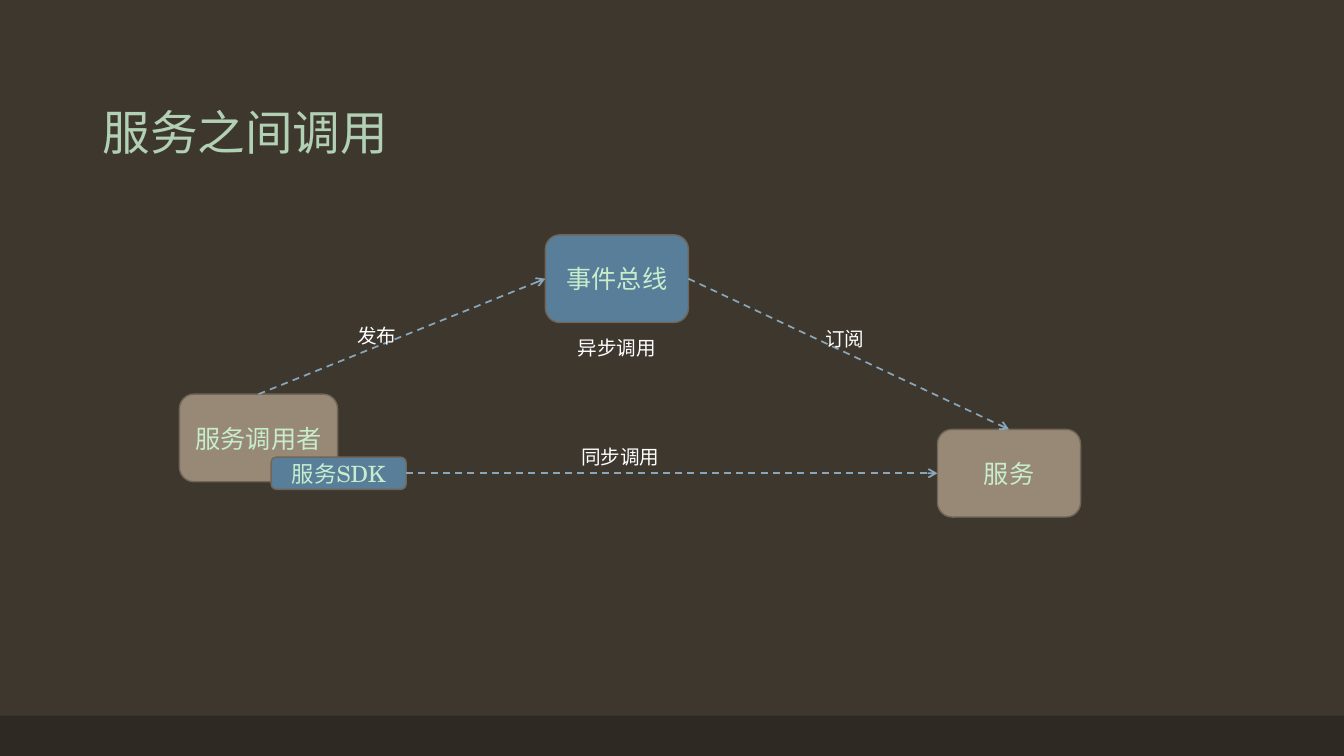
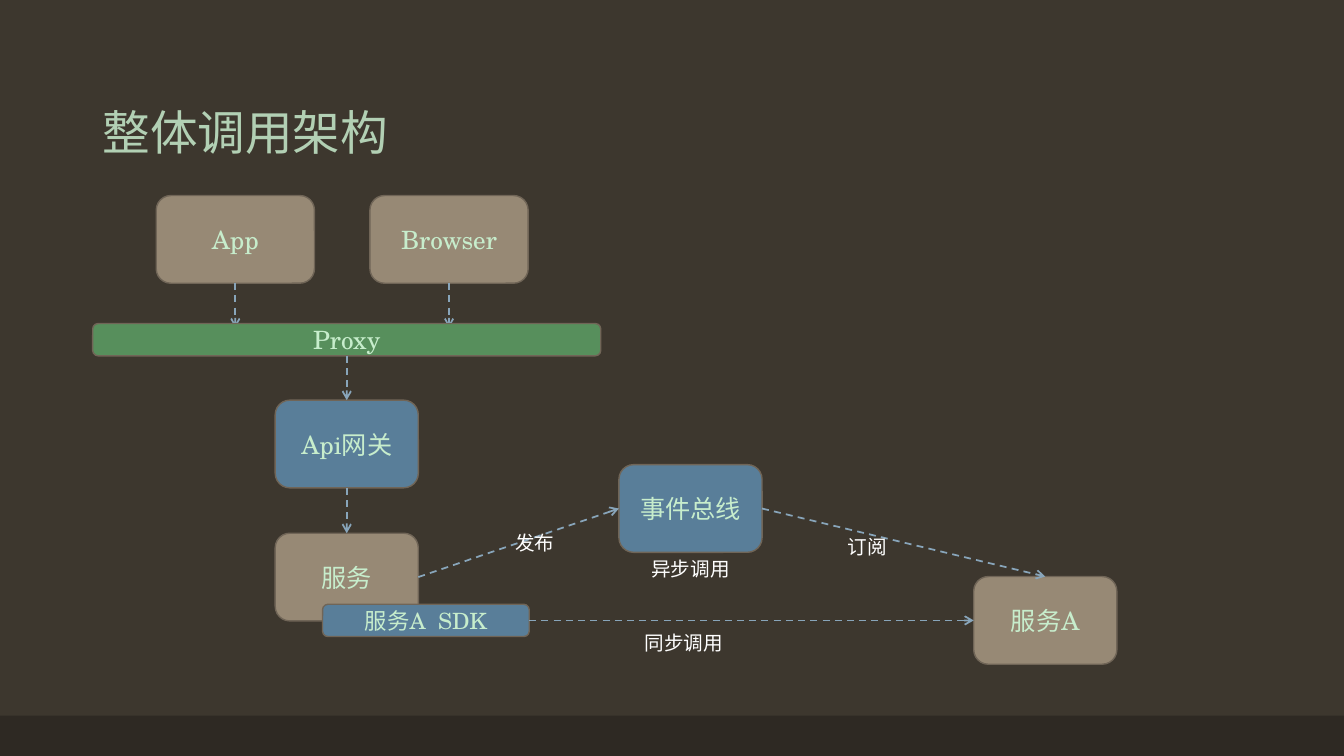
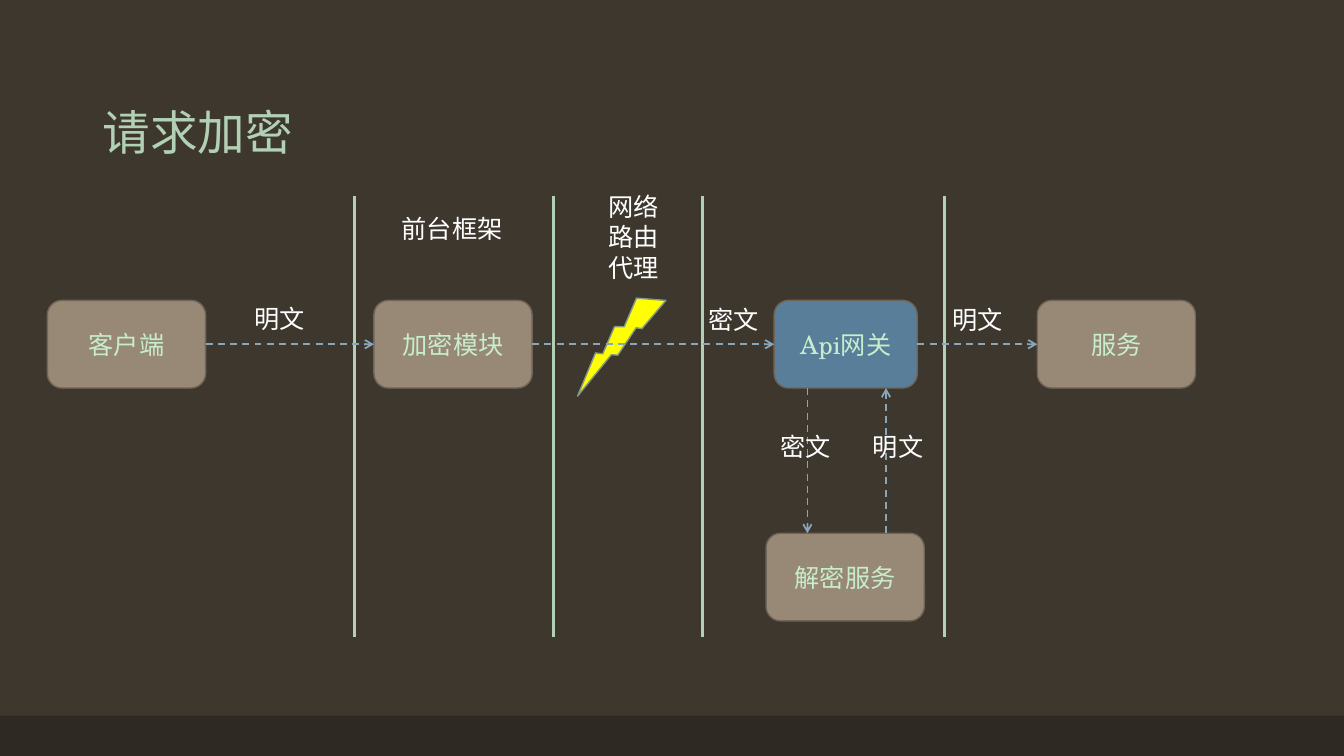
from dataclasses import dataclass

import pptx
import pptx.util
import pptx.dml.color
import pptx.enum.dml
import pptx.enum.shapes
import pptx.enum.text
import pptx.oxml
import pptx.oxml.ns
from lxml import etree

RGBColor = pptx.dml.color.RGBColor
SHAPE = pptx.enum.shapes.MSO_SHAPE
ANCHOR = pptx.enum.text.MSO_ANCHOR
ALIGN = pptx.enum.text.PP_ALIGN

BACKGROUND = RGBColor(0x3D, 0x37, 0x2E)
BAND = RGBColor(0x2E, 0x29, 0x23)
MINT = RGBColor(0xB2, 0xD0, 0xB4)
NODE_TEXT = RGBColor(0xC7, 0xED, 0xCC)
WHITE = RGBColor(0xFF, 0xFF, 0xFF)
TAUPE = RGBColor(0x97, 0x89, 0x75)
BLUE = RGBColor(0x59, 0x7E, 0x99)
GREEN = RGBColor(0x57, 0x8F, 0x5C)
OUTLINE = RGBColor(0x70, 0x65, 0x57)
ARROW = RGBColor(0x88, 0xA5, 0xBA)
YELLOW = RGBColor(0xFF, 0xFF, 0x00)
BOLT_OUTLINE = RGBColor(0x84, 0x9A, 0x85)

TITLE_FONT = "Arial"
BODY_FONT = "TeX Gyre Schola"

# The slide is a square grid; all lengths below are in its cells.
CELL = pptx.util.Inches(0.1)
COLUMNS, ROWS = 133.33, 75
WIDE, NARROW, HIGH, FLAT = 15.7, 14.2, 8.7, 3.2


@dataclass
class Box:
    left: float
    top: float
    width: float
    height: float

    def point(self, across, down):
        """Grid point at shares of the width and height."""
        return self.left + across * self.width, self.top + down * self.height

    def inner(self, left, top, width, height):
        """Box given relative to this one's top left corner."""
        return Box(self.left + left, self.top + top, width, height)

    def lengths(self):
        return [cells(n) for n in (self.left, self.top, self.width, self.height)]


def cells(count):
    return round(count * CELL)


def write(text_frame, text, size, color):
    text_frame.text = text
    for paragraph in text_frame.paragraphs:
        paragraph.alignment = ALIGN.CENTER
        paragraph.font.name = BODY_FONT
        paragraph.font.size = pptx.util.Pt(size)
        paragraph.font.color.rgb = color


def add_filled(slide, preset, box, fill, outline=None):
    shape = slide.shapes.add_shape(preset, *box.lengths())
    shape.shadow.inherit = False
    shape.fill.solid()
    shape.fill.fore_color.rgb = fill
    if outline is None:
        shape.line.fill.background()
    else:
        shape.line.color.rgb = outline
        shape.line.width = pptx.util.Pt(1)
    return shape


def add_node(slide, box, text, fill=TAUPE, size=18):
    shape = add_filled(slide, SHAPE.ROUNDED_RECTANGLE, box, fill, OUTLINE)
    shape.text_frame.vertical_anchor = ANCHOR.MIDDLE
    write(shape.text_frame, text, size, NODE_TEXT)
    return box


def add_label(slide, center, text, size=18):
    """Place white text around a centre point, in a box that fits it."""
    lines = text.split("\n")
    width = 2 + max(map(len, lines)) * size / 7.2
    height = 1 + len(lines) * size * 0.17
    box = Box(center[0] - width / 2, center[1] - height / 2, width, height)
    text_frame = slide.shapes.add_textbox(*box.lengths()).text_frame
    text_frame.word_wrap = False
    write(text_frame, text, size, WHITE)


def add_line(slide, start, end, color, width):
    connector = slide.shapes.add_connector(
        pptx.enum.shapes.MSO_CONNECTOR.STRAIGHT, *map(cells, (*start, *end)))
    connector.line.color.rgb = color
    connector.line.width = pptx.util.Pt(width)
    etree.SubElement(connector._element.spPr, pptx.oxml.ns.qn("a:effectLst"))
    return connector


def add_arrow(slide, start, end, label=None, nudge=(0, 0), size=14):
    """Dashed arrow; its label sits at the middle, moved by nudge."""
    line = add_line(slide, start, end, ARROW, 1.25).line
    line.dash_style = pptx.enum.dml.MSO_LINE.DASH
    etree.SubElement(line._get_or_add_ln(), pptx.oxml.ns.qn("a:tailEnd"), type="arrow")
    if label:
        middle = [(a + b) / 2 + shift for a, b, shift in zip(start, end, nudge)]
        add_label(slide, middle, label, size)


def style_master(presentation):
    master = presentation.slide_master
    master.background.fill.solid()
    master.background.fill.fore_color.rgb = BACKGROUND

    title = next(shape for shape in master.placeholders
                 if shape.placeholder_format.type == pptx.enum.shapes.PP_PLACEHOLDER.TITLE)
    title.left, title.top, title.width, title.height = Box(9.2, 4, 115, 12.5).lengths()
    title.text_frame.vertical_anchor = ANCHOR.BOTTOM
    qn = pptx.oxml.ns.qn
    style = master._element.find(f".//{qn('p:titleStyle')}/{qn('a:lvl1pPr')}")
    style.getparent().replace(style, pptx.oxml.parse_xml(
        f'<a:lvl1pPr {pptx.oxml.ns.nsdecls("a")} algn="l">'
        '<a:lnSpc><a:spcPct val="90000"/></a:lnSpc><a:buNone/>'
        f'<a:defRPr sz="3400"><a:solidFill><a:srgbClr val="{MINT}"/></a:solidFill>'
        f'<a:latin typeface="{TITLE_FONT}"/></a:defRPr></a:lvl1pPr>'))


def add_master_band(presentation, slide):
    """Draw the bottom band on a slide, then move it to the master."""
    band = add_filled(slide, SHAPE.RECTANGLE, Box(0, ROWS - 4, COLUMNS, 4), BAND)
    presentation.slide_master.shapes._spTree.insert(2, band._element)


def add_titled_slide(presentation, title):
    slide = presentation.slides.add_slide(presentation.slide_layouts.get_by_name("Title Only"))
    slide.shapes.title.text = title
    return slide


def add_service_call(slide, area, caller, sdk, bus_left, service, async_gap, nudges):
    """Caller at left, event bus on top, called service at bottom right.

    caller is (text, top, width), sdk is (text, left, width).
    """
    caller_text, caller_top, caller_width = caller
    sdk_text, sdk_left, sdk_width = sdk
    caller_box = add_node(slide, area.inner(0, caller_top, caller_width, HIGH), caller_text)
    bus = add_node(slide, area.inner(bus_left, 0, NARROW, HIGH), "事件总线", BLUE)
    target = add_node(slide, area.inner(area.width - NARROW, area.height - HIGH, NARROW, HIGH),
                      service)
    sdk_top = area.height - (HIGH + FLAT) / 2
    sdk_box = add_node(slide, area.inner(sdk_left, sdk_top, sdk_width, FLAT), sdk_text, BLUE, 16)

    start = caller_box.point(0.5, 0) if caller_width == WIDE else caller_box.point(1, 0.5)
    add_arrow(slide, start, bus.point(0, 0.5), "发布", nudges[0])
    add_arrow(slide, bus.point(1, 0.5), target.point(0.5, 0), "订阅", nudges[1])
    add_arrow(slide, sdk_box.point(1, 0.5), target.point(0, 0.5), "同步调用", nudges[2])
    x, y = bus.point(0.5, 1)
    add_label(slide, (x, y + async_gap), "异步调用", 14)
    return caller_box


def add_entry_chain(slide, area):
    """Clients above the proxy bar, with the gateway below; returns the gateway."""
    bar = area.inner(0, 12.7, area.width, FLAT)
    for left, text in ((6.3, "App"), (27.5, "Browser")):
        client = add_node(slide, area.inner(left, 0, WIDE, HIGH), text)
        x, y = client.point(0.5, 1)
        add_arrow(slide, (x, y), (x, bar.top + 0.4))
    add_node(slide, bar, "Proxy", GREEN)
    gateway = add_node(slide, area.inner((area.width - NARROW) / 2, 20.3, NARROW, HIGH),
                       "Api网关", BLUE)
    add_arrow(slide, bar.point(0.5, 1), gateway.point(0.5, 0))
    return gateway


def add_lanes(slide, area):
    """Vertical dividers with the headings of the two middle lanes."""
    for x in (0, 19.7, 34.5, area.width):
        add_line(slide, (area.left + x, area.top),
                 (area.left + x, area.top + area.height), MINT, 2)
    add_label(slide, (area.left + 9.65, area.top + 3.3), "前台框架")
    add_label(slide, (area.left + 27.65, area.top + 4.2), "网络\n路由\n代理")


def add_encrypted_request(slide, area):
    client, module, service = (
        add_node(slide, area.inner(left, 0, WIDE, HIGH), text)
        for left, text in ((0, "客户端"), (32.4, "加密模块"), (98.2, "服务")))
    gateway = add_node(slide, area.inner(72.1, 0, NARROW, HIGH), "Api网关", BLUE)
    decryption = add_node(slide, area.inner(71.3, 23.1, WIDE, HIGH), "解密服务")
    bolt = add_filled(slide, SHAPE.LIGHTNING_BOLT, area.inner(54.1, -2.3, 4.7, 12.6),
                      YELLOW, BOLT_OUTLINE)
    bolt.rotation = 55.5

    for start, end, text, nudge in ((client, module, "明文", (-1, -2.5)),
                                    (module, gateway, "密文", (8, -2.4)),
                                    (gateway, service, "明文", (0, -2.4))):
        add_arrow(slide, start.point(1, 0.5), end.point(0, 0.5), text, nudge, 18)

    upper, lower = gateway.point(0, 1)[1], decryption.top
    down, up = area.left + 75.4, area.left + 83.2
    add_arrow(slide, (down, upper), (down, lower), "密文", (-0.2, -1.4), 18)
    add_arrow(slide, (up, lower), (up, upper), "明文", (1.2, -1.4), 18)


def main():
    presentation = pptx.Presentation()
    presentation.slide_width = cells(COLUMNS)
    presentation.slide_height = cells(ROWS)
    style_master(presentation)

    slide = add_titled_slide(presentation, "服务之间调用")
    add_master_band(presentation, slide)
    add_service_call(slide, Box(17.8, 23.3, 89.4, 28), ("服务调用者", 15.8, WIDE),
                     ("服务SDK", 9.1, 13.4), 36.3, "服务", 2.5,
                     ((-2.5, 0), (-0.4, -1.5), (-5.1, -1.6)))

    slide = add_titled_slide(presentation, "整体调用架构")
    gateway = add_entry_chain(slide, Box(9.2, 19.4, 50.4, 29))
    service = add_service_call(slide, Box(27.3, 46.1, 83.5, 19.8), ("服务", 6.8, NARROW),
                               ("服务A  SDK", 4.7, 20.5), 34.1, "服务A", 1.6,
                               ((1.6, 0), (-3.6, 0.4), (-6.7, 2.2)))
    add_arrow(slide, gateway.point(0.5, 1), service.point(0.5, 0))

    slide = add_titled_slide(presentation, "请求加密")
    add_lanes(slide, Box(35.2, 19.4, 58.5, 43.8))
    add_encrypted_request(slide, Box(4.7, 29.8, 113.9, 31.8))

    presentation.save("out.pptx")


if __name__ == "__main__":
    main()
